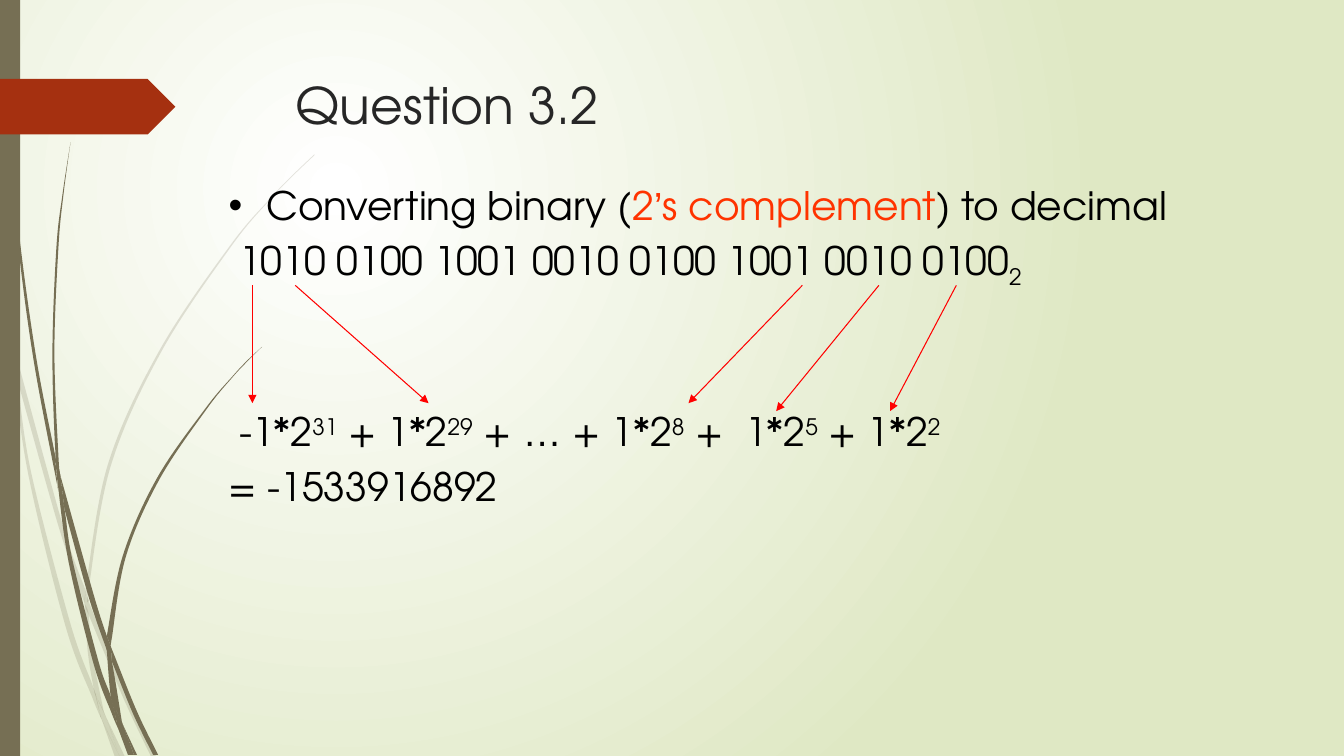
from lxml.etree import SubElement
from pptx import Presentation
from pptx.dml.color import RGBColor
from pptx.enum.shapes import MSO_CONNECTOR as Connector, MSO_SHAPE as Shape
from pptx.oxml.ns import qn
from pptx.util import Cm, Pt

OLIVE, RUST, RED, BLACK, ORANGE = "766F54", "A53010", "FF0000", "000000", "FF3300"
SUP, SUB = 30, -25
INCH = 2.54  # blade knots are in inches


def color(hex_string):
    return RGBColor.from_string(hex_string)


def controls(knots):
    """Three Bezier points for each step of a smooth curve through the knots."""
    padded = [knots[0], *knots, knots[-1]]
    for a, b, c, d in zip(padded, padded[1:], padded[2:], padded[3:]):
        yield tuple(q + (r - p) / 6 for p, q, r in zip(a, b, c))
        yield tuple(r - (s - q) / 6 for q, r, s in zip(b, c, d))
        yield c


class Deck:
    font = "TeX Gyre Adventor"

    def __init__(self, width, height):
        self.show = Presentation()
        self.show.slide_width, self.show.slide_height = Cm(width), Cm(height)
        self.slide = self.show.slides.add_slide(self.show.slide_layouts[6])
        self.shapes = self.slide.shapes

    def glow(self, inner, outer):
        """Radial background centred in the upper left quarter."""
        fill = self.slide.background.fill
        fill.gradient()
        for stop, position, tone in zip(fill.gradient_stops, (0, 1), (inner, outer)):
            stop.position, stop.color.rgb = position, color(tone)
        gradient = self.slide.element.find(".//" + qn("a:gradFill"))
        gradient.remove(gradient.find(qn("a:lin")))
        circle = SubElement(gradient, qn("a:path"), {"path": "circle"})
        SubElement(circle, qn("a:fillToRect"),
                   l="50000", t="50000", r="100000", b="100000")

    def paint(self, shape, tone, opacity=100):
        shape.shadow.inherit = False
        shape.fill.solid()
        shape.fill.fore_color.rgb = color(tone)
        shape.line.fill.background()
        if opacity < 100:
            tint = shape.fill._xPr.find(".//" + qn("a:srgbClr"))
            SubElement(tint, qn("a:alpha"), val=str(opacity * 1000))

    def block(self, kind, left, top, width, height, tone):
        box = (Cm(n) for n in (left, top, width, height))
        self.paint(self.shapes.add_shape(kind, *box), tone)

    def wisp(self, clump, edges, opacity):
        """Closed blade between two curved edges."""
        points, curve_starts = [], []
        for knots in edges:
            points.append(knots[0])
            curve_starts += [len(points) + 3 * i for i in range(len(knots) - 1)]
            points += controls(knots)
        outline = [(Cm(x * INCH), Cm(y * INCH)) for x, y in points]
        builder = clump.shapes.build_freeform(*outline[0])
        builder.add_line_segments(outline[1:], close=True)
        blade = builder.convert_to_shape()
        steps = list(blade._element.iter(qn("a:lnTo")))
        for start in curve_starts:
            trio = steps[start - 1:start + 2]
            curve = trio[0].makeelement(qn("a:cubicBezTo"), {})
            trio[0].addprevious(curve)
            for step in trio:
                curve.append(step[0])
                step.getparent().remove(step)
        self.paint(blade, OLIVE, opacity)

    def text(self, left, top, width, height):
        frame = self.shapes.add_textbox(Cm(left), Cm(top), Cm(width), Cm(height)).text_frame
        frame.word_wrap = True
        return frame

    def line(self, paragraph, runs, size, tone=BLACK, before=0.0, start=0.0, bullet=None):
        """Runs are (text, optional changes); start is where the first line begins."""
        paragraph.font.name, paragraph.font.size = self.font, Pt(size)
        paragraph.font.color.rgb = color(tone)
        paragraph.space_before = Pt(before)
        props = paragraph._p.get_or_add_pPr()
        props.set("indent", str(Cm(start)))
        if bullet:
            props.set("marL", str(Cm(0.95)))
            props.set("indent", str(Cm(-0.95)))
            for tag, attributes in (("a:buFont", {"typeface": "Arial"}),
                                    ("a:buChar", {"char": bullet})):
                mark = props.makeelement(qn(tag), attributes)
                props.find(qn("a:defRPr")).addprevious(mark)
        for words, *changes in runs:
            run = paragraph.add_run()
            run.text = words
            for change in changes:
                if isinstance(change, int):
                    run._r.get_or_add_rPr().set("baseline", str(change * 1000))
                elif change == "Arial":
                    run.font.name = change
                else:
                    run.font.color.rgb = color(change)

    def arrow(self, x0, y0, x1, y1):
        link = self.shapes.add_connector(Connector.STRAIGHT, Cm(x0), Cm(y0), Cm(x1), Cm(y1))
        link.line.color.rgb, link.line.width = color(RED), Pt(0.75)
        SubElement(link.line._get_or_add_ln(), qn("a:tailEnd"), type="triangle")
        SubElement(link._element.spPr, qn("a:effectLst"))


deck = Deck(33.87, 19.05)
deck.glow("FFFFFF", "DFE8C4")

# Grass blades, each as two edges: down one side, back along the other
pale = [
    ([(0.11, 3.5), (0.09, 3.22), (0, 2.82)], [(0, 2.99), (0.1, 3.44)]),
    ([(0.17, 3.76), (0.58, 5.22), (0.84, 5.99)], [(0.85, 5.86), (0.62, 5.2), (0.14, 3.45)]),
    ([(0.88, 6.1), (1.23, 6.94), (1.5, 7.51)],
     [(1.55, 7.51), (1.27, 6.92), (0.92, 6.07), (0.88, 5.96)]),
    ([(1.05, 7.11), (1.19, 7.51)], [(1.24, 7.51), (1.05, 7.11)]),
    ([(0.11, 3.5), (0.28, 4.7), (0.65, 6.21), (0.92, 6.93), (1.01, 7.14)],
     [(0.99, 7.07), (0.93, 6.83), (0.7, 6.19), (0.31, 4.69), (0.17, 3.76), (0.11, 3.5)]),
    ([(0.84, 5.99), (0.87, 6.46), (0.93, 6.83), (0.96, 6.92), (1.05, 7.11)],
     [(1.03, 7.06), (0.91, 6.46), (0.88, 6.1), (0.84, 5.99)]),
    ([(3.12, 1.53), (2.89, 1.75), (2.68, 1.97), (2.28, 2.44), (1.58, 3.48), (1.07, 4.61),
      (0.85, 5.84)],
     [(0.88, 5.96), (0.88, 5.84), (1.1, 4.62), (1.6, 3.49), (2.29, 2.45), (2.68, 1.98),
      (2.9, 1.75), (3.12, 1.54)]),
    ([(1.01, 7.14), (1.14, 7.51)], [(1.19, 7.51), (1.01, 7.14)]),
    ([(0.85, 5.86), (0.84, 5.99), (0.88, 6.1)], [(0.88, 5.96), (0.85, 5.86)]),
    ([(0.93, 6.83), (0.99, 7.07), (1.01, 7.14), (1.19, 7.51)],
     [(1.19, 7.51), (1.05, 7.11), (0.96, 6.92)]),
]
solid = [
    ([(0.03, 0), (0.04, 0.48), (0.07, 1.1), (0.17, 2.33), (0.33, 3.55), (0.56, 4.77),
      (0.57, 4.81)],
     [(0.55, 4.57), (0.55, 4.53), (0.36, 3.55), (0.19, 2.32), (0.08, 1.09), (0.05, 0.48),
      (0.04, 0)]),
    ([(0.64, 5.05), (0.88, 5.92), (1.06, 6.45)], [(1.06, 6.31), (0.93, 5.9), (0.6, 4.72)]),
    ([(1.11, 6.56), (1.32, 7.08), (1.52, 7.49)],
     [(1.57, 7.49), (1.36, 7.06), (1.13, 6.49), (1.1, 6.41)]),
    ([(0.57, 4.77), (0.68, 5.57), (0.93, 6.59), (1.11, 7.08), (1.17, 7.22)],
     [(1.16, 7.17), (1.1, 6.91), (0.98, 6.57), (0.72, 5.56), (0.64, 5.05), (0.57, 4.77)]),
    ([(0.7, 1.41), (0.62, 1.93), (0.56, 2.45), (0.52, 3.49), (0.55, 4.49), (0.6, 4.72)],
     [(0.6, 4.72), (0.58, 4.53), (0.54, 3.49), (0.58, 2.45), (0.63, 1.93), (0.7, 1.41)]),
    ([(1.22, 7.19), (1.33, 7.49)], [(1.36, 7.49), (1.22, 7.19)]),
    ([(0.55, 4.49), (0.57, 4.77), (0.64, 5.05)], [(0.6, 4.72), (0.55, 4.49)]),
    ([(2.6, 3.44), (2.45, 3.58), (2.31, 3.73), (2.04, 4.05), (1.56, 4.74), (1.22, 5.51),
      (1.06, 6.31)],
     [(1.1, 6.41), (1.11, 6.33), (1.25, 5.52), (1.58, 4.76), (2.05, 4.06), (2.31, 3.74),
      (2.45, 3.59), (2.6, 3.44)]),
    ([(1.17, 7.22), (1.27, 7.49)], [(1.31, 7.49), (1.17, 7.22)]),
    ([(1.06, 6.45), (1.1, 6.91), (1.16, 7.06), (1.22, 7.19)],
     [(1.21, 7.16), (1.11, 6.56), (1.06, 6.45)]),
    ([(1.06, 6.31), (1.06, 6.45), (1.11, 6.56)], [(1.1, 6.41), (1.06, 6.31)]),
    ([(1.1, 6.91), (1.16, 7.17), (1.17, 7.22), (1.3, 7.49)],
     [(1.33, 7.49), (1.22, 7.19), (1.16, 7.06)]),
]
for blades, opacity in ((pale, 20), (solid, 100)):
    clump = deck.shapes.add_group_shape()
    for edges in blades:
        deck.wisp(clump, edges, opacity)

# Side bar and tag
deck.block(Shape.RECTANGLE, 0, 0, 0.51, 19.05, OLIVE)
deck.block(Shape.PENTAGON, 0, 1.99, 4.42, 1.4, RUST)

# Title
title = deck.text(7.21, 1.74, 24.77, 3.56)
deck.line(title.paragraphs[0], [("Question 3.2",)], 36, "262626")

# Conversion: task, binary number, powers of two, result
task = [("Converting binary (",), ("2", ORANGE), ("’", ORANGE, "Arial"),
        ("s complement", ORANGE), (") to decimal",)]
binary = [("1010 0100 1001 0010 0100 1001 0010 0100",), ("2", SUB)]
powers = [("-1*2",), ("31", SUP), (" + 1*2",), ("29", SUP), (" + ",), ("…", "Arial"),
          (" + 1*2",), ("8", SUP), (" +  1*2",), ("5", SUP), (" + 1*2",), ("2", SUP)]
result = [("= -1533916892",)]

working = deck.text(5.51, 4.45, 25.1, 12.07)
deck.line(working.paragraphs[0], task, 28, before=5.6, bullet="•")
for runs, before, start in ((binary, 5.6, 0.27), (powers, 84, 0.27), (result, 5.6, 0)):
    deck.line(working.add_paragraph(), runs, 28, before=before, start=start)

# Arrows from set bits to their powers
for bit_x, power_x, power_y in ((6.36, 6.36, 10.16), (7.44, 10.8, 10.16),
                                (20.22, 17.35, 10.16), (22.15, 19.56, 10.36),
                                (24.1, 22.43, 10.36)):
    deck.arrow(bit_x, 7.19, power_x, power_y)

deck.show.save("out.pptx")
